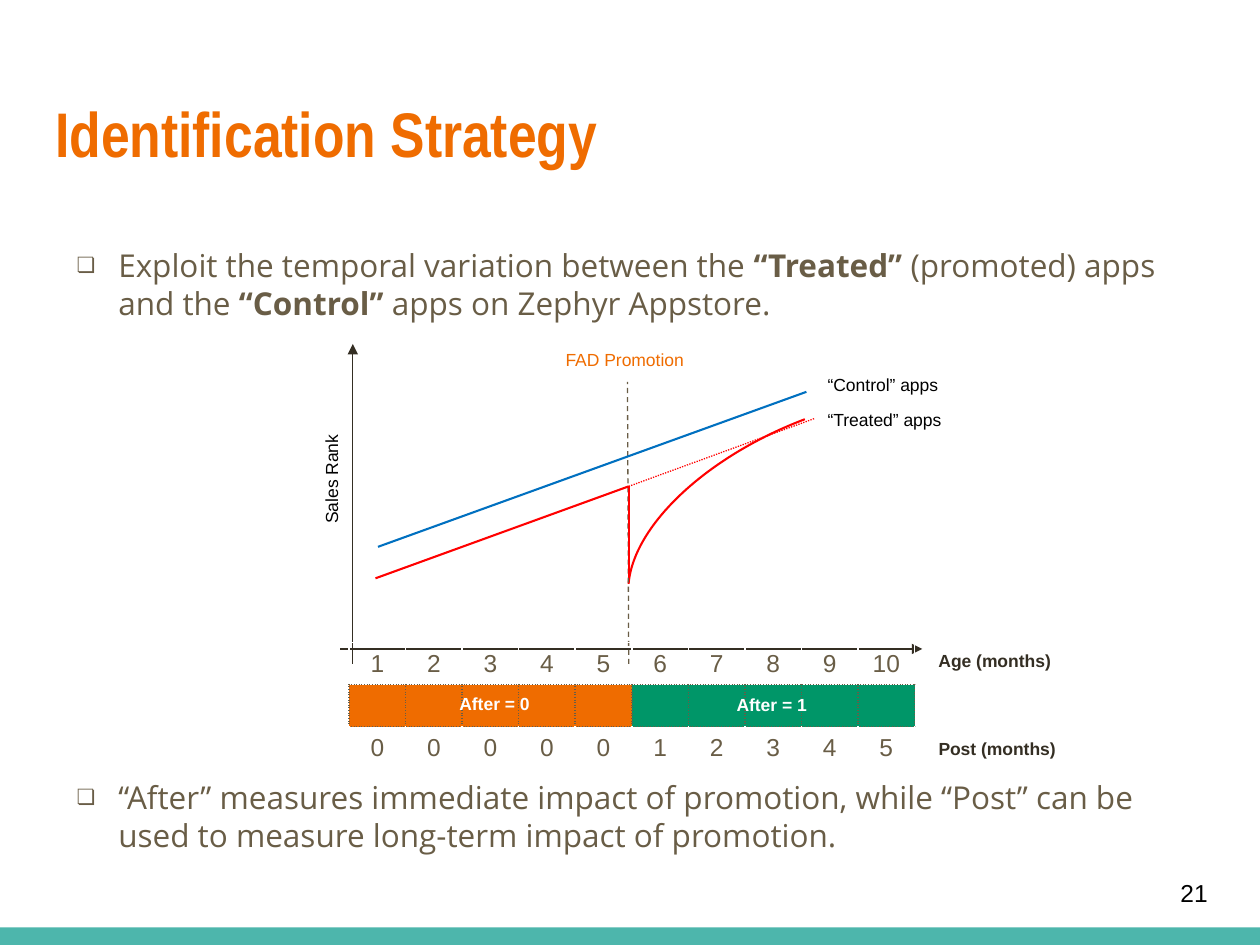
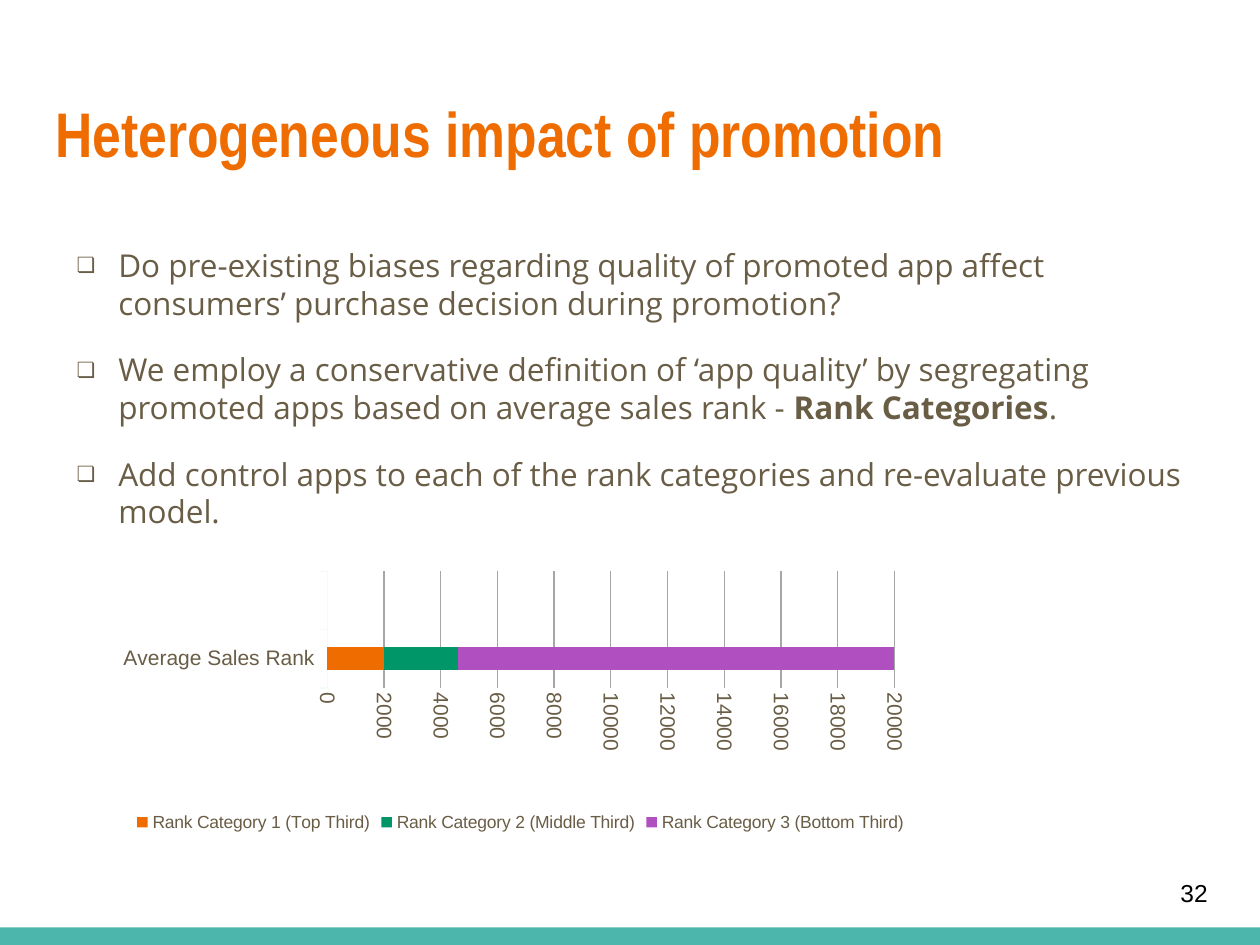
from lxml.etree import SubElement as Sub
from pptx import Presentation
from pptx.chart.data import CategoryChartData as Data
from pptx.dml.color import RGBColor as Rgb
from pptx.enum.chart import XL_CHART_TYPE as Kind, XL_LEGEND_POSITION as Spot, XL_TICK_MARK as Tick
from pptx.enum.dml import MSO_LINE as Dash
from pptx.enum.shapes import MSO_CONNECTOR as Link, MSO_SHAPE as Form
from pptx.enum.text import MSO_ANCHOR as Anchor, PP_ALIGN as Align
from pptx.oxml.ns import qn
from pptx.util import Inches, Pt


class Theme:
    orange, green, purple = "EF6C00", "009668", "B050C0"
    teal, brown, dark = "4DB6AC", "695D46", "342E23"
    blue, red, gray, pale = "0070C0", "FF0000", "A6A6A6", "F1FCF9"
    black, white = "000000", "FFFFFF"
    head, body, plain = "Arial Narrow", "Open Sans", "Arial"
    title, text, page, axis, label = 36, 18, 14, 12, 10


def style(font, name, size, tint, bold=False):
    font.name, font.size, font.bold = name, Pt(size), bold
    font.color.rgb = Rgb.from_string(tint)


def write(slide, text, place, name, size, tint, bold=False, pad=0.05):
    box = slide.shapes.add_textbox(*map(Inches, place))
    frame = box.text_frame
    frame.word_wrap = True
    frame.margin_top = frame.margin_bottom = Inches(pad)
    para = frame.paragraphs[0]
    para.text = text
    style(para.font, name, size, tint, bold)
    return box


pages = [
    ("Identification Strategy", "21", [
        "Exploit the temporal variation between the |“Treated” |(promoted) apps "
        "and the |“Control” |apps on Zephyr Appstore.",
        "“After” measures immediate impact of promotion, while “Post” can be used "
        "to measure long-term impact of promotion."], 244.5),
    ("Heterogeneous impact of promotion", "32", [
        "Do pre-existing biases regarding quality of promoted app affect "
        "consumers’ purchase decision during promotion?",
        "We employ a conservative definition of ‘app quality’ by segregating "
        "promoted apps based on average sales rank - |Rank Categories|.",
        "Add control apps to each of the rank categories and re-evaluate "
        "previous model."], 0),
]

deck = Presentation()
deck.slide_width, deck.slide_height = Inches(10), Inches(7.5)
slides = []
for title, page, points, gap in pages:
    slide = deck.slides.add_slide(deck.slide_layouts[6])
    slides.append(slide)
    band = slide.shapes.add_shape(Form.RECTANGLE, *map(Inches, (0, 7.36, 10, 0.14)))
    band.shadow.inherit = False
    band.fill.solid()
    band.fill.fore_color.rgb = Rgb.from_string(Theme.teal)
    band.line.fill.background()
    write(slide, title, (0.34, 0.65, 9.32, 1.03), Theme.head, Theme.title,
          Theme.orange, True, 0.1)
    body = write(slide, "", (0.34, 1.85, 9.32, 4.82), Theme.body, Theme.text,
                 Theme.brown, pad=0.1).text_frame
    for num, point in enumerate(points):
        para = body.add_paragraph() if num else body.paragraphs[0]
        para.line_spacing = 1.0
        para.space_after = Pt(16.5)
        if num and gap:
            para.space_before = Pt(gap)
        prop = para._p.get_or_add_pPr()
        for old in prop.findall(qn("a:defRPr")):
            prop.remove(old)
        prop.set("marL", str(Inches(0.5)))
        prop.set("indent", str(Inches(-0.33)))
        tint = Sub(prop, qn("a:buClr"))
        Sub(tint, qn("a:srgbClr"), val=Theme.brown)
        Sub(prop, qn("a:buSzPct"), val="67000")
        Sub(prop, qn("a:buFont"), typeface=Theme.body)
        Sub(prop, qn("a:buChar"), char="❏")
        style(para.font, Theme.body, Theme.text, Theme.brown)
        for part, words in enumerate(point.split("|")):
            run = para.add_run()
            run.text = words
            if part % 2:
                run.font.bold = True
    foot = write(slide, page, (9.27, 6.8, 0.6, 0.57), Theme.plain, Theme.page,
                 Theme.black, pad=0.1)
    foot.text_frame.vertical_anchor = Anchor.MIDDLE

first, second = slides

curve = first.shapes.add_shape(Form.ARC, *map(Inches, (4.89, 3.3, 3.48, 1.8)))
curve.shadow.inherit = False
curve.adjustments[0], curve.adjustments[1] = 157.66, 211.27
curve.rotation = 337.3
curve._element.spPr.xfrm.set("flipH", "1")
curve.fill.background()
curve.line.color.rgb = Rgb.from_string(Theme.red)
curve.line.width = Pt(1.2)

lines = [
    ((2.7, 5.15, 7.32, 5.15), Theme.dark, 0.75, None, True),
    ((2.8, 5.27, 2.8, 2.73), Theme.dark, 0.75, None, True),
    ((4.99, 5.27, 4.98, 3.03), Theme.brown, 0.75, Dash.DASH, False),
    ((3, 4.34, 6.4, 3.11), Theme.blue, 1.2, None, False),
    ((2.98, 4.59, 4.99, 3.86), Theme.red, 1.2, None, False),
    ((4.99, 3.86, 4.99, 4.59), Theme.red, 1.2, None, False),
    ((4.99, 3.86, 6.47, 3.32), Theme.red, 0.75, Dash.ROUND_DOT, False),
]
for ends, tint, width, dash, arrow in lines:
    line = first.shapes.add_connector(Link.STRAIGHT, *map(Inches, ends))
    line.line.color.rgb = Rgb.from_string(tint)
    line.line.width = Pt(width)
    if dash:
        line.line.dash_style = dash
    if arrow:
        Sub(line.line._get_or_add_ln(), qn("a:tailEnd"), type="triangle")
    Sub(line._element.spPr, qn("a:effectLst"))

table = first.shapes.add_table(3, 10, *map(Inches, (2.77, 5.1, 4.49, 1))).table
table.first_row = table.horz_banding = False
for row in table.rows:
    row.height = Inches(1 / 3)
for col in range(10):
    table.columns[col].width = Inches(0.449)
    for row, text in enumerate((str(col + 1), "", str(max(0, col - 4)))):
        cell = table.cell(row, col)
        cell.margin_top = cell.margin_bottom = 0
        cell.margin_left = cell.margin_right = Inches(0.05)
        cell.vertical_anchor = Anchor.MIDDLE
        para = cell.text_frame.paragraphs[0]
        para.text = text
        para.alignment = Align.CENTER
        style(para.font, Theme.plain, Theme.page, Theme.brown)
        for side in "LRTB":
            dotted = row == 1 or (row, side) in ((0, "B"), (2, "T"))
            edge = Sub(cell._tc.get_or_add_tcPr(), qn("a:ln" + side), w=str(Pt(1)))
            fill = Sub(edge, qn("a:solidFill"))
            Sub(fill, qn("a:srgbClr"), val=Theme.brown if dotted else Theme.white)
            Sub(edge, qn("a:prstDash"), val="sysDot" if dotted else "solid")
        if row == 1:
            cell.fill.solid()
            tint = Theme.orange if col < 5 else Theme.green
            cell.fill.fore_color.rgb = Rgb.from_string(tint)
        else:
            cell.fill.background()

labels = [
    ("FAD Promotion", 4.39, 2.72, 1.25, Theme.orange, False),
    ("“Control” apps", 6.47, 2.92, 1.32, Theme.black, False),
    ("“Treated” apps", 6.47, 3.2, 1.32, Theme.black, False),
    ("Sales Rank", 1.97, 3.46, 1.32, Theme.black, False),
    ("Age (months)", 7.35, 5.11, 1.23, Theme.dark, True),
    ("Post (months)", 7.35, 5.81, 1.31, Theme.dark, True),
    ("After = 0", 2.81, 5.45, 2.23, Theme.white, True),
    ("After = 1", 5.01, 5.46, 2.23, Theme.white, True),
]
for text, left, top, wide, tint, bold in labels:
    box = write(first, text, (left, top, wide, 0.27), Theme.plain, Theme.label, tint, bold)
    if text == "Sales Rank":
        box.rotation = 270
    if tint == Theme.white:
        box.text_frame.paragraphs[0].alignment = Align.CENTER

ranks = [
    ("Rank Category 1 (Top Third)", 2000, Theme.orange),
    ("Rank Category 2 (Middle Third)", 2600, Theme.green),
    ("Rank Category 3 (Bottom Third)", 17600, Theme.purple),
]
data = Data()
data.categories = ["Average Sales Rank", ""]
for name, value, tint in ranks:
    data.add_series(name, (value, None))
chart = second.shapes.add_chart(
    Kind.BAR_STACKED, *map(Inches, (0.91, 3.79, 6.67, 3.01)), data).chart
style(chart.font, Theme.plain, Theme.label, Theme.brown)
chart.has_title = False
plot = chart.plots[0]
plot.gap_width, plot.overlap, plot.vary_by_categories = 150, 100, False
for bar, (name, value, tint) in zip(plot.series, ranks):
    bar.format.fill.solid()
    bar.format.fill.fore_color.rgb = Rgb.from_string(tint)

names, scale = chart.category_axis, chart.value_axis
for axis in (names, scale):
    style(axis.tick_labels.font, Theme.plain, Theme.axis, Theme.brown)
names.major_tick_mark = Tick.OUTSIDE
names.format.line.color.rgb = Rgb.from_string(Theme.pale)
names.format.line.width = Pt(0.75)
scale.major_tick_mark = Tick.NONE
scale.minimum_scale, scale.maximum_scale, scale.major_unit = 0, 20000, 2000
scale.format.line.fill.background()
scale.major_gridlines.format.line.color.rgb = Rgb.from_string(Theme.gray)
scale.major_gridlines.format.line.width = Pt(0.75)
scale._element.find(qn("c:txPr")).find(qn("a:bodyPr")).set("rot", "5400000")

chart.has_legend = True
key = chart.legend
key.position, key.include_in_layout = Spot.BOTTOM, False
style(key.font, Theme.plain, Theme.label, Theme.brown)

area = chart._chartSpace.chart.plotArea
for old in area.findall(qn("c:layout")) + key._element.findall(qn("c:layout")):
    old.getparent().remove(old)
spots = [
    (area, 0, [("layoutTarget", "inner"), ("xMode", "edge"), ("yMode", "edge"),
               ("x", "0.253"), ("y", "0.247"), ("w", "0.675"), ("h", "0.308")]),
    (key._element, 1, [("xMode", "edge"), ("yMode", "edge"), ("x", "0.02"), ("y", "0.87")]),
]
for owner, index, items in spots:
    layout = Sub(owner, qn("c:layout"))
    owner.insert(index, layout)
    manual = Sub(layout, qn("c:manualLayout"))
    for tag, value in items:
        Sub(manual, qn("c:" + tag), val=value)

deck.save("out.pptx")
